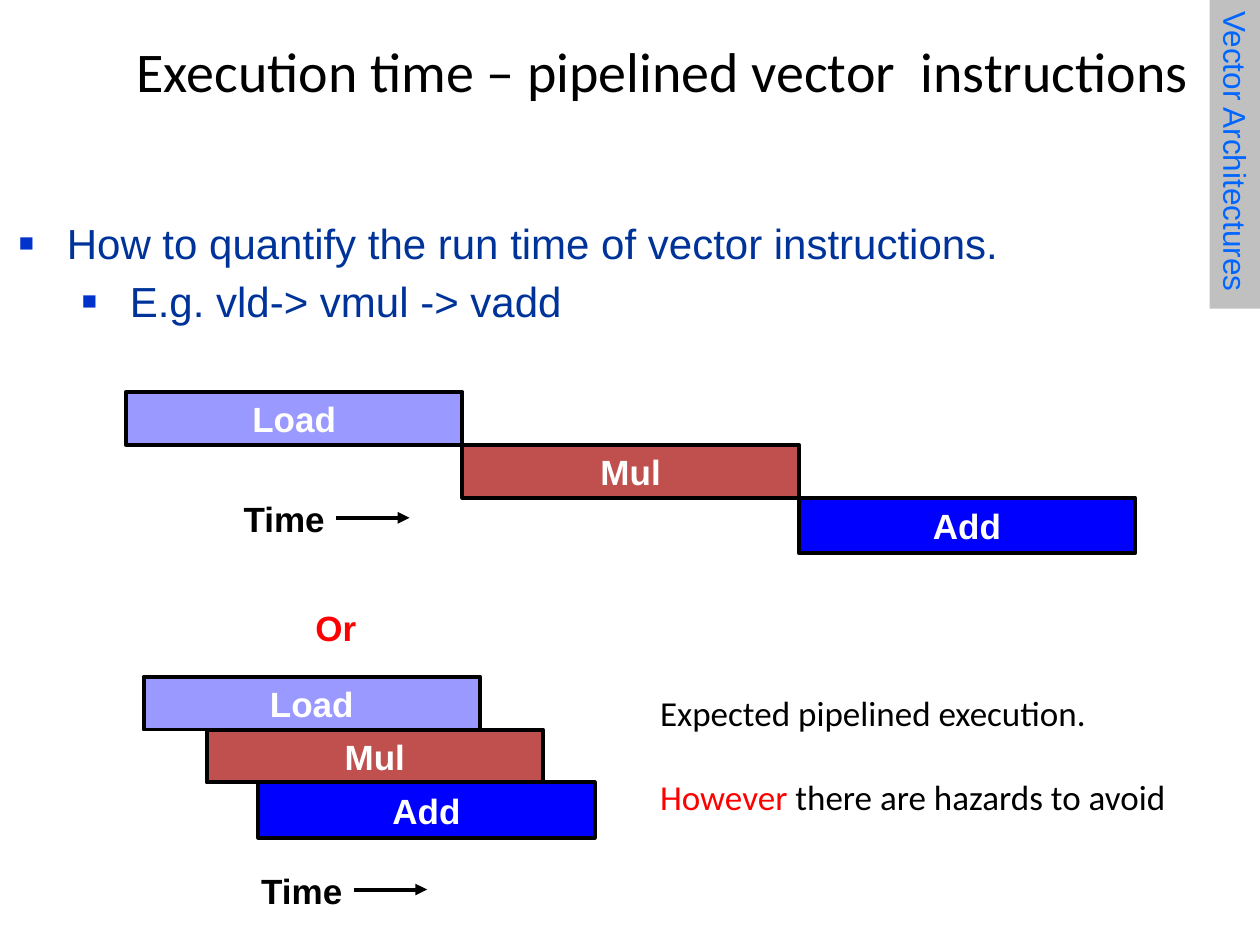
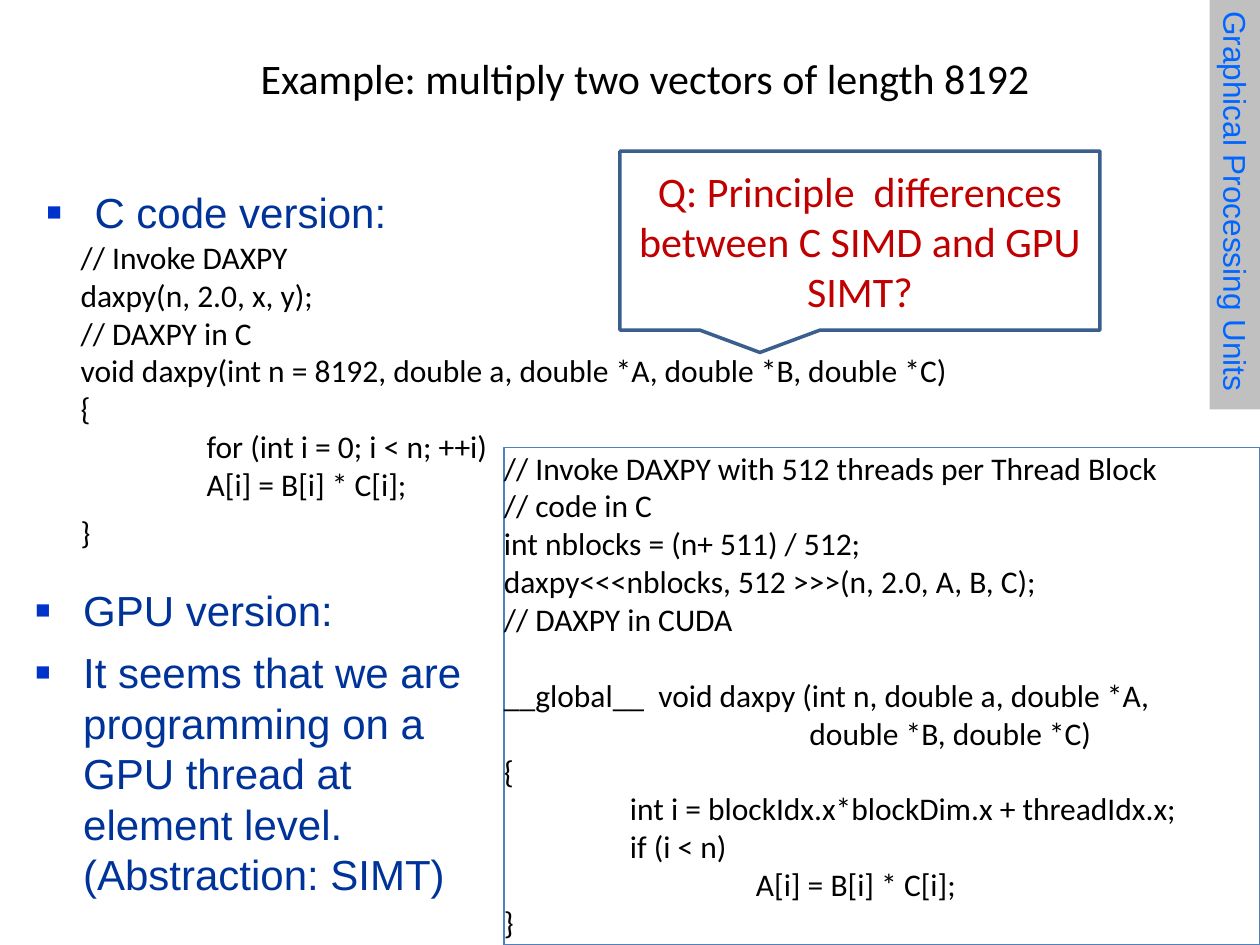
from dataclasses import dataclass

from lxml.etree import SubElement
from pptx import Presentation
from pptx.dml.color import RGBColor
from pptx.enum.shapes import MSO_CONNECTOR, MSO_SHAPE
from pptx.enum.text import MSO_ANCHOR, MSO_AUTO_SIZE, PP_ALIGN
from pptx.oxml.ns import qn
from pptx.util import Inches, Pt

COLORS = {
    "text": "000000",
    "list": "003399",
    "bullet": "0033CC",
    "band": "C0C0C0",
    "band_text": "0066FF",
    "alert": "FF0000",
    "question": "C00000",
    "question_line": "3A5F8C",
    "code_line": "4F81BD",
    "stage_text": "FFFFFF",
    "load": "9999FF",
    "mul": "C0504D",
    "add": "0000FF",
}
SANS, HUMANIST = "Arial", "Calibri"
TITLE_AND_CONTENT, TWO_CONTENT = 1, 3
STAGE_WIDTH, STAGE_STEP = 2.67, 0.42

C_CODE = """// Invoke DAXPY
daxpy(n, 2.0, x, y);
// DAXPY in C
void daxpy(int n = 8192, double a, double *A, double *B, double *C)
{
\tfor (int i = 0; i < n; ++i)
\tA[i] = B[i] * C[i];
}"""

KERNEL_CODE = """// Invoke DAXPY with 512 threads per Thread Block
// code in C
int nblocks = (n+ 511) / 512;
daxpy<<<nblocks, 512 >>>(n, 2.0, A, B, C);
// DAXPY in CUDA
__global__  void daxpy (int n, double a, double *A,
                                           double *B, double *C)
{
\tint i = blockIdx.x*blockDim.x + threadIdx.x;
\tif (i < n)
\t\tA[i] = B[i] * C[i];
}"""


@dataclass(frozen=True)
class Box:
    left: float
    top: float
    width: float
    height: float

    def lengths(self):
        return [Inches(n) for n in (self.left, self.top, self.width, self.height)]


@dataclass(frozen=True)
class TextStyle:
    size: float
    font: str
    color: str
    bold: bool = False


@dataclass(frozen=True)
class Stage:
    label: str
    color: str
    height: float


TITLE = TextStyle(32, HUMANIST, "text")
SMALL_TITLE = TextStyle(24, HUMANIST, "text")
LIST = TextStyle(24, SANS, "list")
BAND = TextStyle(18, SANS, "band_text")
STAGE = TextStyle(20, SANS, "stage_text", True)
LABEL = TextStyle(20, SANS, "text", True)
ALERT = TextStyle(20, SANS, "alert", True)
REMARK = TextStyle(20, HUMANIST, "text")
CODE = TextStyle(18, HUMANIST, "text")
QUESTION = TextStyle(24, HUMANIST, "question")
STAGES = (Stage("Load", "load", 0.42), Stage("Mul", "mul", 0.42), Stage("Add", "add", 0.44))


def rgb(name: str) -> RGBColor:
    return RGBColor.from_string(COLORS[name])


def style_paragraph(paragraph, style: TextStyle, align=PP_ALIGN.LEFT) -> None:
    paragraph.alignment = align
    paragraph.font.size = Pt(style.size)
    paragraph.font.name = style.font
    paragraph.font.bold = style.bold
    paragraph.font.color.rgb = rgb(style.color)


def set_margins(frame, horizontal: float, top: float, bottom: float) -> None:
    frame.margin_left = frame.margin_right = Inches(horizontal)
    frame.margin_top, frame.margin_bottom = Inches(top), Inches(bottom)


def move(shape, box: Box) -> None:
    shape.left, shape.top, shape.width, shape.height = box.lengths()


def write_lines(frame, lines, style: TextStyle, align=PP_ALIGN.LEFT) -> None:
    frame.text = "\n".join(lines)
    for paragraph in frame.paragraphs:
        style_paragraph(paragraph, style, align)


def add_label(slide, text: str, box: Box, style: TextStyle) -> None:
    frame = slide.shapes.add_textbox(*box.lengths()).text_frame
    frame.word_wrap = False
    frame.vertical_anchor = MSO_ANCHOR.MIDDLE
    write_lines(frame, [text], style, PP_ALIGN.CENTER)


def add_box(slide, preset, box: Box, fill: str, line: str, line_width: float):
    shape = slide.shapes.add_shape(preset, *box.lengths())
    shape.shadow.inherit = False
    if fill:
        shape.fill.solid()
        shape.fill.fore_color.rgb = rgb(fill)
    else:
        shape.fill.background()
    if line:
        shape.line.color.rgb = rgb(line)
        shape.line.width = Pt(line_width)
    else:
        shape.line.fill.background()
    shape.text_frame.word_wrap = True
    return shape


def set_title(slide, text: str, box: Box, style: TextStyle) -> None:
    title = slide.shapes.title
    move(title, box)
    frame = title.text_frame
    frame.auto_size = MSO_AUTO_SIZE.NONE
    frame.vertical_anchor = MSO_ANCHOR.MIDDLE
    set_margins(frame, 0, 0.01, 0)
    write_lines(frame, [text], style, PP_ALIGN.CENTER)


def add_square_bullet(paragraph) -> None:
    properties = paragraph._p.get_or_add_pPr()
    properties.set("marL", str(Inches(0.39 + 0.5 * paragraph.level)))
    properties.set("indent", str(Inches(-0.38)))
    color = SubElement(properties, qn("a:buClr"))
    SubElement(color, qn("a:srgbClr"), val=COLORS["bullet"])
    SubElement(properties, qn("a:buSzPct"), val="60000")
    SubElement(properties, qn("a:buFont"), typeface=SANS)
    SubElement(properties, qn("a:buChar"), char="■")


def fill_list(placeholder, items, box: Box, top_margin: float, gap: float) -> None:
    """Write (text, level) items into a body placeholder with square bullets."""
    move(placeholder, box)
    frame = placeholder.text_frame
    frame.auto_size = MSO_AUTO_SIZE.NONE
    set_margins(frame, 0, top_margin, 0)
    frame.text = "\n".join(text for text, _ in items)
    for number, (paragraph, (_, level)) in enumerate(zip(frame.paragraphs, items)):
        paragraph.level = level
        add_square_bullet(paragraph)
        paragraph.space_before = Pt(gap if number else 0)
        style_paragraph(paragraph, LIST)


def add_side_band(slide, text: str, height: float) -> None:
    add_box(slide, MSO_SHAPE.RECTANGLE, Box(9.6, 0, 0.4, height), "band", "", 0)
    text_box = Box(9.64, 0.09, 0.31, height - 0.1)
    frame = slide.shapes.add_textbox(*text_box.lengths()).text_frame
    frame.word_wrap = True
    set_margins(frame, 0, 0, 0)
    frame._txBody.bodyPr.set("vert", "vert")
    write_lines(frame, [text], BAND)
    frame.paragraphs[0].line_spacing = Pt(20.9)


def add_pipeline(slide, lefts, top: float) -> None:
    for row, (stage, left) in enumerate(zip(STAGES, lefts)):
        box = Box(left, top + row * STAGE_STEP, STAGE_WIDTH, stage.height)
        shape = add_box(slide, MSO_SHAPE.RECTANGLE, box, stage.color, "text", 2.25)
        shape.text_frame.vertical_anchor = MSO_ANCHOR.MIDDLE
        write_lines(shape.text_frame, [stage.label], STAGE, PP_ALIGN.CENTER)


def add_time_arrow(slide, left: float, top: float) -> None:
    add_label(slide, "Time", Box(left, top, 0.85, 0.43), LABEL)
    start, height = left + 0.84, Inches(top + 0.21)
    arrow = slide.shapes.add_connector(
        MSO_CONNECTOR.STRAIGHT, Inches(start), height, Inches(start + 0.58), height)
    arrow.line.color.rgb = rgb("text")
    arrow.line.width = Pt(2.25)
    properties = arrow.element.spPr
    SubElement(properties.find(qn("a:ln")), qn("a:tailEnd"), type="triangle")
    SubElement(properties, qn("a:effectLst"))


def add_remarks(slide) -> None:
    box = Box(5.14, 5.44, 4.25, 1.11)
    frame = slide.shapes.add_textbox(*box.lengths()).text_frame
    frame.word_wrap = False
    write_lines(frame, ["Expected pipelined execution.", ""], REMARK)
    warning = frame.paragraphs[1]
    warning.space_before = Pt(24)
    alert = warning.add_run()
    alert.text = "However "
    alert.font.color.rgb = rgb("alert")
    warning.add_run().text = "there are hazards to avoid"


def write_code(shape, code: str, spaced_line: int, gap: float) -> None:
    """Write a listing with tab stops every inch and a gap above one line."""
    frame = shape.text_frame
    frame.word_wrap = True
    frame.vertical_anchor = MSO_ANCHOR.TOP
    set_margins(frame, 0, 0.01, 0)
    frame.text = code
    for paragraph in frame.paragraphs:
        stops = SubElement(paragraph._p.get_or_add_pPr(), qn("a:tabLst"))
        for inch in (1, 2):
            SubElement(stops, qn("a:tab"), pos=str(Inches(inch)), algn="l")
        style_paragraph(paragraph, CODE)
    frame.paragraphs[spaced_line].space_before = Pt(gap)


def build_execution_time(presentation) -> None:
    slide = presentation.slides.add_slide(presentation.slide_layouts[TITLE_AND_CONTENT])
    set_title(slide, "Execution time – pipelined vector  instructions",
              Box(0.74, 0.28, 9.04, 0.55), TITLE)
    items = [("How to quantify the run time of vector instructions.", 0),
             ("E.g. vld-> vmul -> vadd", 1)]
    fill_list(slide.placeholders[1], items, Box(0.14, 1.68, 9.41, 0.92), 0.05, 3.9)
    add_side_band(slide, "Vector Architectures", 2.45)
    add_pipeline(slide, [1 + n * STAGE_WIDTH for n in range(3)], 3.11)
    add_time_arrow(slide, 1.83, 3.9)
    add_label(slide, "Or", Box(2.4, 4.76, 0.53, 0.44), ALERT)
    add_pipeline(slide, [1.14, 1.64, 2.05], 5.37)
    add_time_arrow(slide, 1.97, 6.85)
    add_remarks(slide)


def build_vector_example(presentation) -> None:
    slide = presentation.slides.add_slide(presentation.slide_layouts[TWO_CONTENT])
    set_title(slide, "Example: multiply two vectors of length 8192",
              Box(0.36, 0.4, 9.52, 0.42), SMALL_TITLE)
    fill_list(slide.placeholders[1], [("C code version:", 0)],
              Box(0.36, 1.39, 9.09, 0.5), 0.09, 6.8)
    items = [("GPU version:", 0),
             ("It seems that we are programming on a GPU thread at element level. "
              "(Abstraction: SIMT)", 0)]
    fill_list(slide.placeholders[2], items, Box(0.27, 4.55, 3.73, 2.62), 0.09, 6.8)
    add_side_band(slide, "Graphical Processing Units", 3.25)
    c_box = Box(0.64, 1.88, 8.81, 2.94)
    write_code(slide.shapes.add_textbox(*c_box.lengths()), C_CODE, -1, 6)
    kernel = add_box(slide, MSO_SHAPE.RECTANGLE, Box(4, 3.55, 6, 3.95), "", "code_line", 0.75)
    write_code(kernel, KERNEL_CODE, 5, 22)
    question = add_box(slide, MSO_SHAPE.RECTANGULAR_CALLOUT, Box(4.92, 1.2, 3.81, 1.42),
                       "", "question_line", 2)
    question.text_frame.vertical_anchor = MSO_ANCHOR.MIDDLE
    write_lines(question.text_frame,
                ["Q: Principle  differences between C SIMD and GPU SIMT?"],
                QUESTION, PP_ALIGN.CENTER)


def main() -> None:
    presentation = Presentation()
    presentation.slide_width, presentation.slide_height = Inches(10), Inches(7.5)
    build_execution_time(presentation)
    build_vector_example(presentation)
    presentation.save("out.pptx")


if __name__ == "__main__":
    main()
